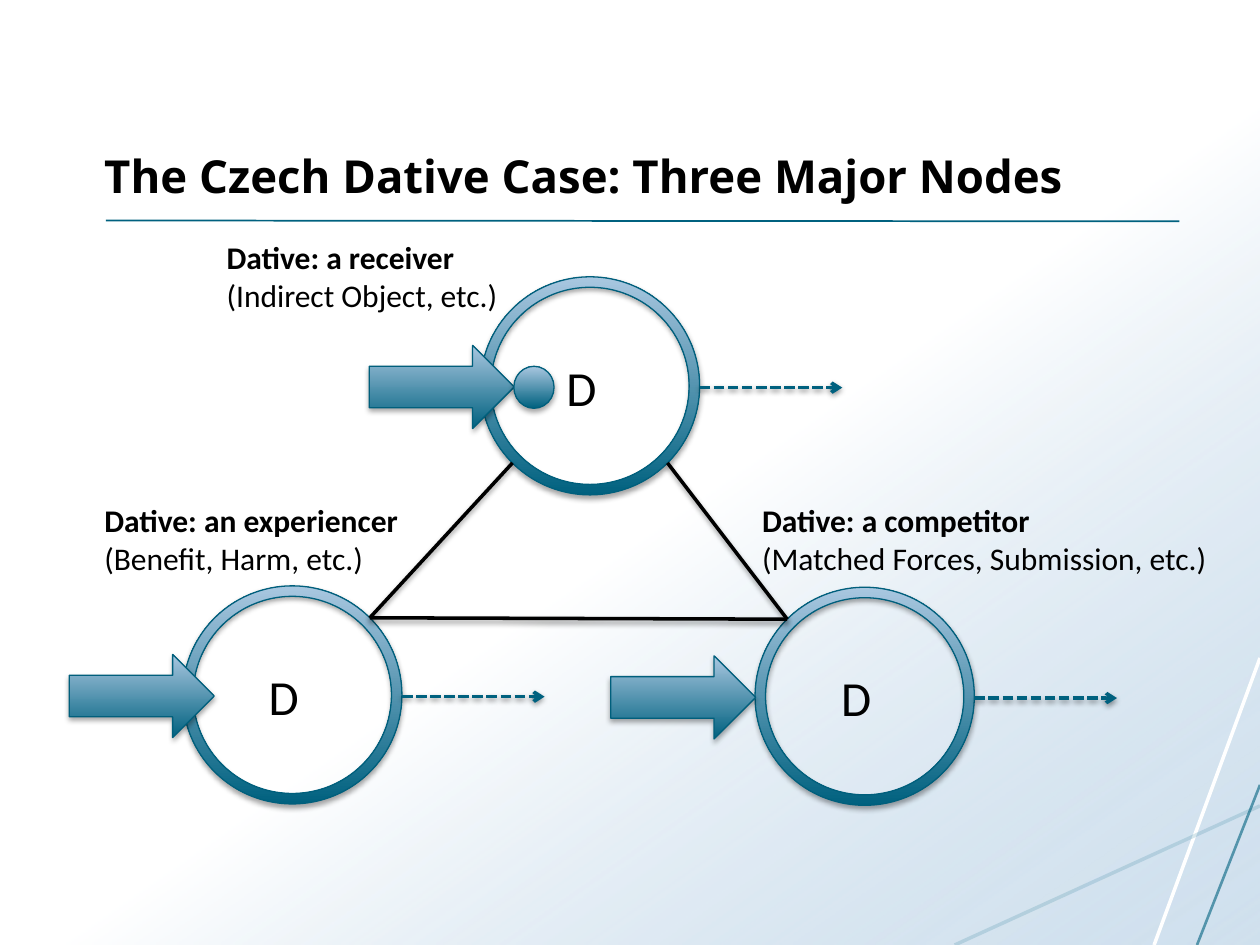
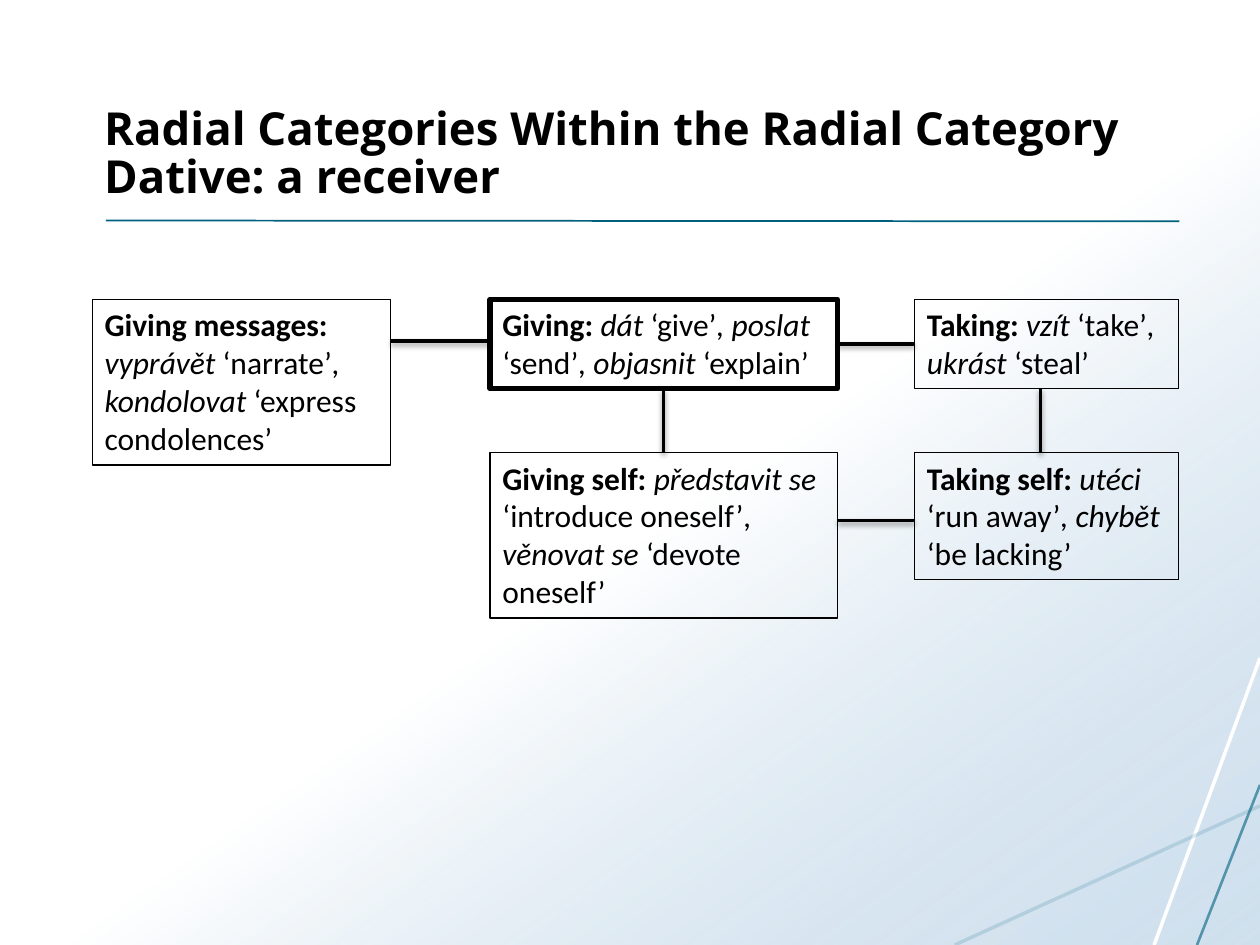
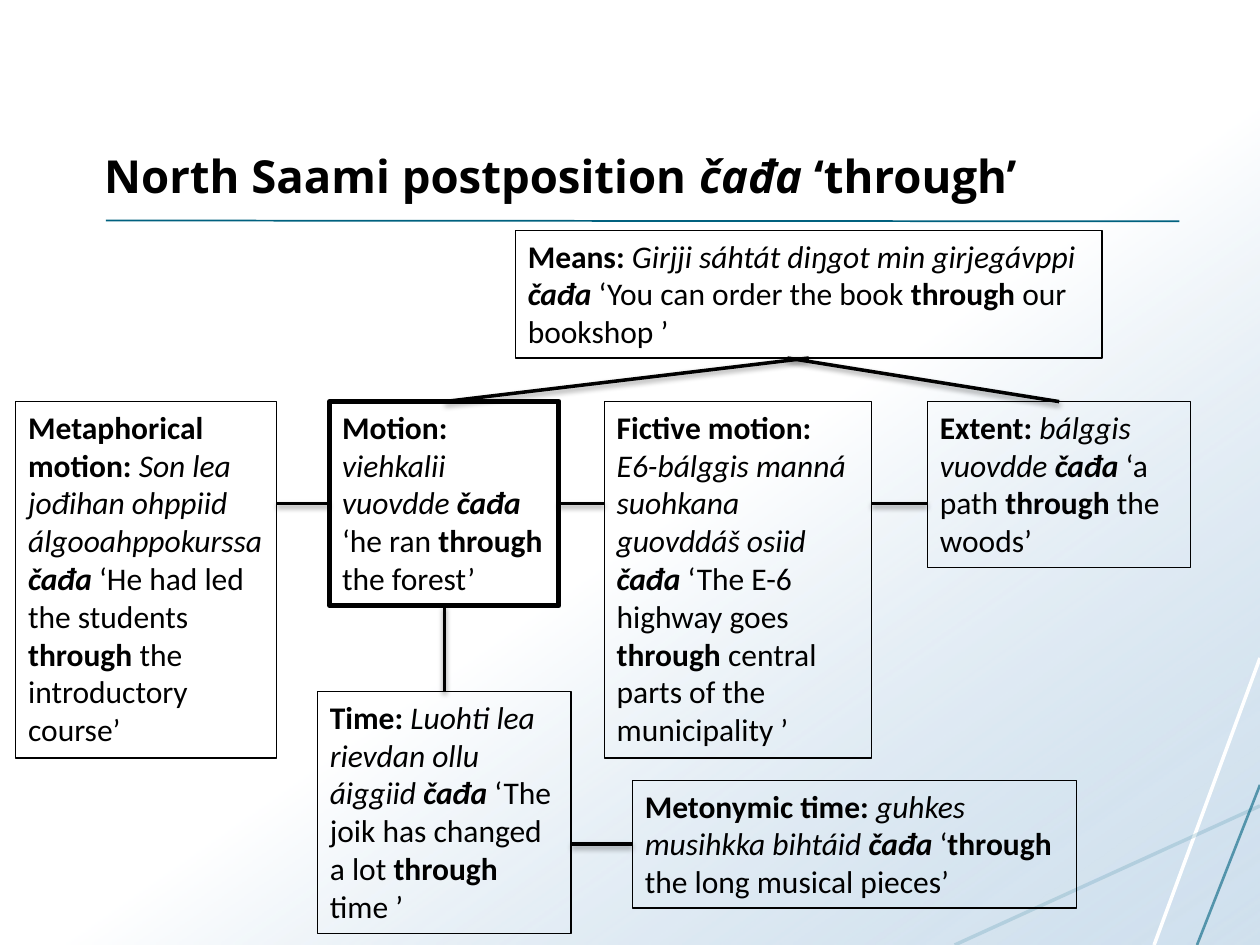
import math
from dataclasses import dataclass
from typing import Any, NamedTuple, Optional

import pptx
import pptx.dml.color
import pptx.enum.dml
import pptx.enum.shapes
import pptx.enum.text
import pptx.oxml
import pptx.oxml.ns
import pptx.util

Pt = pptx.util.Pt
SHAPE = pptx.enum.shapes.MSO_SHAPE
TOP, LEFT, BOTTOM, RIGHT = range(4)


@dataclass(frozen=True)
class Theme:
    black: str = "000000"
    white: str = "FFFFFF"
    teal: str = "00617F"
    outline: str = "005F7C"
    mist: str = "15718F"
    sky: str = "A9C7E0"
    title_font: str = "Open Sans"
    body_font: str = "Calibri"
    title_size: float = 26
    body_size: float = 18
    letter_size: float = 28


THEME = Theme()


# Descriptions of repeated elements
class Span(NamedTuple):
    text: str
    bold: bool = False
    italic: bool = False


class Point(NamedTuple):
    x: float
    y: float


class Shadow(NamedTuple):
    alpha: int
    distance: float
    blur: float = 3.1


class Stroke(NamedTuple):
    color: str
    width: float
    alpha: int = 100
    dashed_arrow: bool = False
    shadow: Optional[Shadow] = None


@dataclass(frozen=True)
class Box:
    name: str
    left: float
    top: float
    width: float
    lines: int
    spans: list[Span]
    weight: float = 0.75

    @property
    def height(self) -> float:
        return text_height(self.lines)


class End(NamedTuple):
    """A place on a box's side; the middle of the side unless `at` is given."""
    box: str
    side: int
    at: Optional[float] = None


class Link(NamedTuple):
    start: End
    end: End


class Node(NamedTuple):
    left: float
    top: float
    arrow_dx: float
    label_at: Point
    label_width: float
    role: str
    examples: str


SHAPE_SHADOW = Shadow(35, 1.8)
LINE_SHADOW = Shadow(38, 1.6)
JOIN = Stroke(THEME.black, 2, shadow=LINE_SHADOW)
PATH_AHEAD = Stroke(THEME.teal, 2, dashed_arrow=True, shadow=LINE_SHADOW)
RING_W, RING_H = 125.3, 124.6


def b(text: str) -> Span:
    return Span(text, bold=True)


def i(text: str) -> Span:
    return Span(text, italic=True)


def bi(text: str) -> Span:
    return Span(text, True, True)


def text_height(lines: int) -> float:
    return 7.5 + 21.8 * lines


# Drawing helpers
def rgb(color: str) -> Any:
    return pptx.dml.color.RGBColor.from_string(color)


def add_child(parent: Any, tag: str, **attrs: Any) -> Any:
    child = pptx.oxml.parse_xml(f"<{tag} {pptx.oxml.ns.nsdecls('a')}/>")
    for key, value in attrs.items():
        child.set(key, str(value))
    parent.append(child)
    return child


def add_shadow(effects: Any, shadow: Shadow) -> None:
    outer = add_child(effects, "a:outerShdw", blurRad=Pt(shadow.blur),
                      dist=Pt(shadow.distance), dir=90 * 60000, rotWithShape=0)
    color = add_child(outer, "a:srgbClr", val=THEME.black)
    add_child(color, "a:alpha", val=shadow.alpha * 1000)


def add_line(s: Any, start: Point, end: Point, stroke: Stroke) -> Any:
    line = s.shapes.add_connector(pptx.enum.shapes.MSO_CONNECTOR.STRAIGHT,
                                  Pt(start.x), Pt(start.y), Pt(end.x), Pt(end.y))
    line.line.color.rgb = rgb(stroke.color)
    line.line.width = Pt(stroke.width)
    sp_pr = line._element.spPr
    if stroke.alpha < 100:
        color = sp_pr.find(".//" + pptx.oxml.ns.qn("a:srgbClr"))
        add_child(color, "a:alpha", val=stroke.alpha * 1000)
    if stroke.dashed_arrow:
        line.line.dash_style = pptx.enum.dml.MSO_LINE.SQUARE_DOT
        add_child(sp_pr.find(pptx.oxml.ns.qn("a:ln")), "a:tailEnd", type="arrow")
    effects = add_child(sp_pr, "a:effectLst")
    if stroke.shadow:
        add_shadow(effects, stroke.shadow)
    return line


def fill_gradient(sp: Any, angle: float, *stops: tuple[float, str]) -> None:
    sp.fill.gradient()
    sp.fill.gradient_angle = angle
    for stop, (position, color) in zip(sp.fill.gradient_stops, stops):
        stop.position = position
        stop.color.rgb = rgb(color)


def add_glossy(s: Any, kind: Any, left: float, top: float, width: float, height: float) -> Any:
    sp = s.shapes.add_shape(kind, Pt(left), Pt(top), Pt(width), Pt(height))
    fill_gradient(sp, 90, (0, THEME.teal), (1, THEME.sky))
    sp.line.color.rgb = rgb(THEME.outline)
    sp.line.width = Pt(0.75)
    sp.shadow.inherit = False
    add_shadow(sp._element.spPr.find(pptx.oxml.ns.qn("a:effectLst")), SHAPE_SHADOW)
    return sp


def write(p: Any, spans: list[Span], font: str, size: float) -> None:
    for span in spans:
        for row, text in enumerate(span.text.split("\n")):
            if row:
                p.add_line_break()
            r = p.add_run()
            r.text = text
            r.font.name, r.font.size = font, Pt(size)
            r.font.bold, r.font.italic = span.bold, span.italic
            r.font.color.rgb = rgb(THEME.black)


def add_text(s: Any, left: float, top: float, width: float, height: float,
             paragraphs: list[list[Span]], size: float = THEME.body_size,
             font: str = THEME.body_font) -> Any:
    sp = s.shapes.add_textbox(Pt(left), Pt(top), Pt(width), Pt(height))
    tf = sp.text_frame
    tf.word_wrap = True
    tf.auto_size = pptx.enum.text.MSO_AUTO_SIZE.SHAPE_TO_FIT_TEXT
    for index, spans in enumerate(paragraphs):
        p = tf.add_paragraph() if index else tf.paragraphs[0]
        write(p, spans, font, size)
    return sp


# Shared background, title and rule
def add_slide(prs: Any, title: list[Span]) -> Any:
    s = prs.slides.add_slide(prs.slide_layouts[6])
    wash = s.shapes.add_shape(SHAPE.RECTANGLE, 0, 0, prs.slide_width, prs.slide_height)
    wash.shadow.inherit = False
    wash.line.fill.background()
    fill_gradient(wash, 305, (0.54, THEME.white), (1, THEME.sky))
    colors = wash._element.spPr.findall(".//" + pptx.oxml.ns.qn("a:srgbClr"))
    add_child(colors[-1], "a:alpha", val=54000)

    for start, end, stroke in (
        (Point(720, 376), Point(659.5, 540), Stroke(THEME.white, 2)),
        (Point(720, 460.5), Point(545.5, 540), Stroke(THEME.mist, 2, 16)),
        (Point(720, 448.5), Point(684, 540), Stroke(THEME.teal, 1.5, 60)),
        (Point(60.5, 126), Point(674, 126.5), Stroke(THEME.teal, 1)),
    ):
        add_line(s, start, end, stroke)

    sp = add_text(s, 52.5, 24, 620.5, 95.5, [title], THEME.title_size, THEME.title_font)
    sp.text_frame.auto_size = pptx.enum.text.MSO_AUTO_SIZE.NONE
    sp.text_frame.vertical_anchor = pptx.enum.text.MSO_ANCHOR.BOTTOM
    sp.text_frame.paragraphs[0].line_spacing = 0.87
    return s


# Networks of linked boxes
def end_point(box: Box, end: End) -> Point:
    if end.side in (TOP, BOTTOM):
        x = box.left + box.width / 2 if end.at is None else end.at
        return Point(x, box.top + (box.height if end.side == BOTTOM else 0))
    y = box.top + box.height / 2 if end.at is None else end.at
    return Point(box.left + (box.width if end.side == RIGHT else 0), y)


def add_network(s: Any, boxes: list[Box], links: list[Link]) -> None:
    by_name = {box.name: box for box in boxes}
    shapes = {}
    for box in boxes:
        sp = add_text(s, box.left, box.top, box.width, box.height, [box.spans])
        sp.line.color.rgb = rgb(THEME.black)
        sp.line.width = Pt(box.weight)
        shapes[box.name] = sp
    for start, end in links:
        line = add_line(s, end_point(by_name[start.box], start),
                        end_point(by_name[end.box], end), JOIN)
        if start.at is None:
            line.begin_connect(shapes[start.box], start.side)
        if end.at is None:
            line.end_connect(shapes[end.box], end.side)


# Slide 1: three nodes of the dative
def ring_corner(node: Node, x_sign: int, y_sign: int) -> Point:
    reach = math.cos(math.pi / 4)
    return Point(node.left + RING_W / 2 * (1 + x_sign * reach),
                 node.top + RING_H / 2 * (1 + y_sign * reach))


def add_node(s: Any, node: Node) -> None:
    ring = add_glossy(s, SHAPE.DONUT, node.left, node.top, RING_W, RING_H)
    ring.adjustments[0] = 0.048
    exit_at = Point(node.left + RING_W, node.top + 63.3)
    add_line(s, exit_at, Point(exit_at.x + 81.5, exit_at.y), PATH_AHEAD)
    add_text(s, node.left + 42, node.top + 42.5, 38, 41, [[Span("D")]], THEME.letter_size)
    add_glossy(s, SHAPE.RIGHT_ARROW, node.left + node.arrow_dx, node.top + 39.2, 82.8, 47.5)
    add_text(s, node.label_at.x, node.label_at.y, node.label_width, text_height(2),
             [[b(node.role)], [Span(node.examples)]])


def build_dative(prs: Any) -> None:
    s = add_slide(prs, [b("The Czech Dative Case: Three Major Nodes")])
    receiver = Node(274.5, 158.2, -63.5, Point(122.4, 132.5), 245,
                    "Dative: a receiver", "(Indirect Object, etc.)")
    experiencer = Node(104.4, 334.8, -64.8, Point(52.5, 283), 245,
                       "Dative: an experiencer", "(Benefit, Harm, etc.)")
    competitor = Node(431.5, 335.6, -82.5, Point(428.4, 283), 272,
                      "Dative: a competitor", "(Matched Forces, Submission, etc.)")
    for node in (receiver, experiencer, competitor):
        add_node(s, node)
    add_glossy(s, SHAPE.OVAL, 293.6, 209.3, 23, 24)
    left, right = ring_corner(experiencer, 1, -1), ring_corner(competitor, -1, -1)
    add_line(s, ring_corner(receiver, -1, 1), left, JOIN)
    add_line(s, left, right, JOIN)
    add_line(s, ring_corner(receiver, 1, 1), right, JOIN)


# Slide 2: senses of the receiver
def build_receiver(prs: Any) -> None:
    s = add_slide(prs, [b("Radial Categories Within the Radial Category\nDative: a receiver")])
    upper, lower = 171, 258.5
    messages, giving, taking = (52.7, 170.6), (280, 198.5), (522.6, 150.8)
    boxes = [
        Box("giving", giving[0], upper, giving[1], 2,
            [b("Giving: "), i("dát"), Span(" ‘give’"), i(", poslat "), Span("‘send’"),
             i(", objasnit "), Span("‘explain’")], 3),
        Box("giving self", giving[0], lower, giving[1], 4,
            [b("Giving self: "), i("představit se"), Span(" ‘introduce oneself’"),
             i(", věnovat se "), Span("‘devote oneself’")]),
        Box("messages", messages[0], upper, messages[1], 4,
            [b("Giving messages: "), i("vyprávět"), Span(" ‘narrate’"),
             i(", kondolovat "), Span("‘express condolences’")]),
        Box("taking", taking[0], upper, taking[1], 2,
            [b("Taking: "), i("vzít "), Span("‘take’"), i(", ukrást "), Span("‘steal’")]),
        Box("taking self", taking[0], lower, taking[1], 3,
            [b("Taking self: "), i("utéci "), Span("‘run away’"),
             i(", chybět "), Span("‘be lacking’")]),
    ]
    add_network(s, boxes, [
        Link(End("messages", RIGHT, 195), End("giving", LEFT, 195)),
        Link(End("giving", RIGHT), End("taking", LEFT)),
        Link(End("giving self", RIGHT, 297.4), End("taking self", LEFT, 297.4)),
        Link(End("giving", BOTTOM), End("giving self", TOP)),
        Link(End("taking", BOTTOM, 594.5), End("taking self", TOP, 594.5)),
    ])


# Slide 3: senses of a postposition
def sense(label: str, phrase: str, before: str, after: str) -> list[Span]:
    return [b(label + ": "), i(phrase + " "), bi("čađa "), Span("‘" + before),
            b("through "), Span(after + "’")]


def build_postposition(prs: Any) -> None:
    s = add_slide(prs, [b("North Saami postposition "), bi("čađa"), b(" ‘through’")])
    row = 229.5
    boxes = [
        Box("motion", 188.4, row, 131, 5,
            sense("Motion", "viehkalii vuovdde", "he ran ", "the forest"), 3),
        Box("time", 181.4, 395.2, 145, 6,
            sense("Time", "Luohti lea rievdan ollu áiggiid",
                  "The joik has changed a lot ", "time ")),
        Box("metaphor", 9, row, 149, 9,
            sense("Metaphorical motion", "Son lea jođihan ohppiid álgooahppokurssa",
                  "He had led the students ", "the introductory course")),
        Box("fictive", 345.3, row, 152.6, 9,
            sense("Fictive motion", "E6-bálggis manná suohkana guovddáš osiid",
                  "The E-6 highway goes ", "central parts of the municipality ")),
        Box("extent", 530, row, 150.5, 4,
            sense("Extent", "bálggis vuovdde", "a path ", "the woods")),
        Box("means", 294.5, 131.7, 335.3, 3,
            sense("Means", "Girjji sáhtát diŋgot min girjegávppi",
                  "You can order the book ", "our bookshop ")),
        Box("metonymic", 361.4, 446, 253.7, 3,
            sense("Metonymic time", "guhkes musihkka bihtáid", "", "the long musical pieces")),
    ]
    axis = row + text_height(5) / 2
    time_axis = 446 + text_height(3) / 2
    add_network(s, boxes, [
        Link(End("metaphor", RIGHT, axis), End("motion", LEFT)),
        Link(End("motion", RIGHT), End("fictive", LEFT, axis)),
        Link(End("fictive", RIGHT, axis), End("extent", LEFT, axis)),
        Link(End("motion", BOTTOM), End("time", TOP)),
        Link(End("means", BOTTOM), End("motion", TOP)),
        Link(End("means", BOTTOM, 450), End("extent", TOP)),
        Link(End("time", RIGHT, time_axis), End("metonymic", LEFT)),
    ])


def main() -> None:
    prs = pptx.Presentation()
    prs.slide_width, prs.slide_height = Pt(720), Pt(540)
    build_dative(prs)
    build_receiver(prs)
    build_postposition(prs)
    prs.save("out.pptx")


if __name__ == "__main__":
    main()
